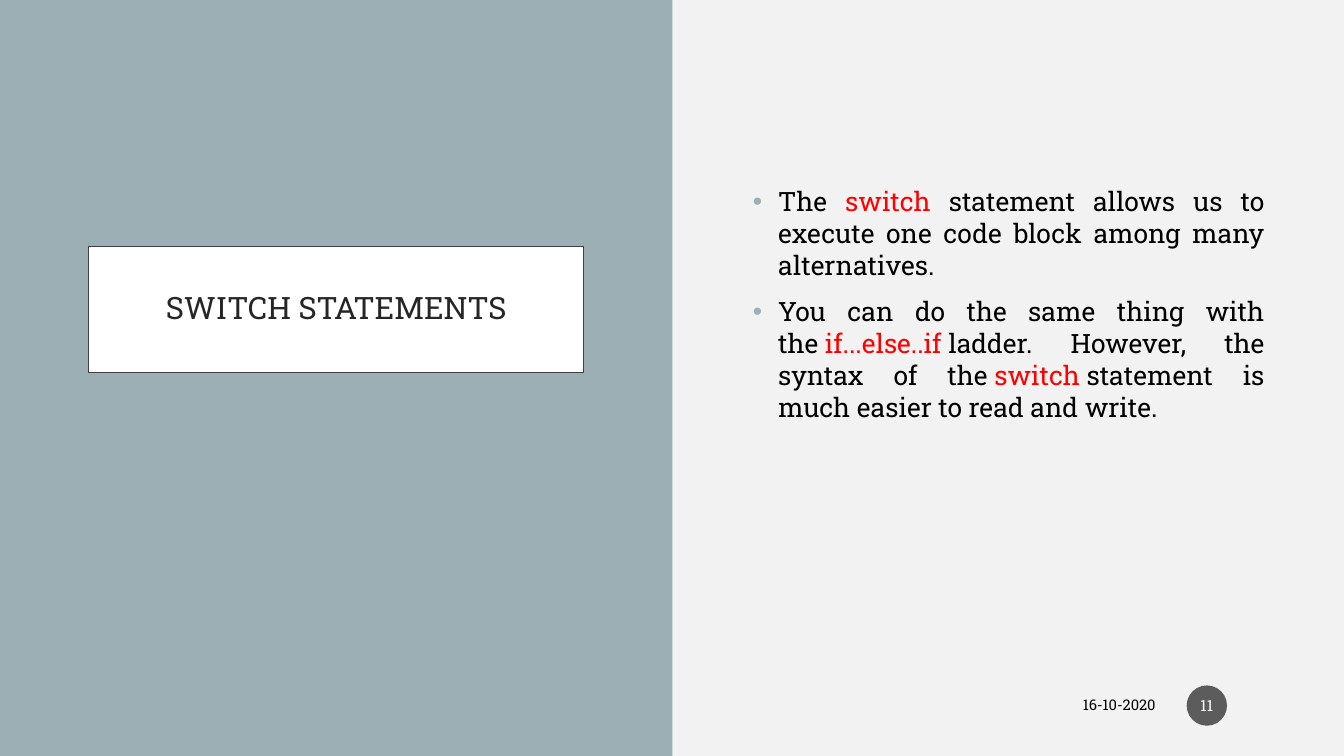
"""Build the slide that introduces switch statements."""
from dataclasses import dataclass

from lxml import etree
from pptx import Presentation
from pptx.dml.color import RGBColor
from pptx.enum.shapes import MSO_SHAPE
from pptx.enum.text import MSO_ANCHOR, PP_ALIGN
from pptx.oxml.ns import qn
from pptx.util import Inches, Pt

RECTANGLE, OVAL = MSO_SHAPE.RECTANGLE, MSO_SHAPE.OVAL
CENTER, RIGHT, JUSTIFY = PP_ALIGN.CENTER, PP_ALIGN.RIGHT, PP_ALIGN.JUSTIFY
TOP, MIDDLE = MSO_ANCHOR.TOP, MSO_ANCHOR.MIDDLE

FONT = "Roboto Slab"
HARD_SPACE = chr(160)
COLORS = {
    "background": "F2F2F2",
    "accent": "9BAFB5",
    "white": "FFFFFF",
    "border": "404040",
    "title": "262626",
    "text": "000000",
    "keyword": "FF0000",
    "badge": "1D1D1D",
}


@dataclass(frozen=True)
class Box:
    left: float
    top: float
    width: float
    height: float

    def lengths(self):
        return [Inches(n) for n in (self.left, self.top, self.width, self.height)]


@dataclass(frozen=True)
class Span:
    text: str
    color: str = "text"


@dataclass(frozen=True)
class Label:
    text: str
    size: float
    color: str
    align: PP_ALIGN
    margins: tuple[float, float]
    line_spacing: float = 1.0


BULLETS = [
    [
        Span("The "),
        Span("switch", "keyword"),
        Span(" statement allows us to execute one code block among many alternatives."),
    ],
    [
        Span("You can do the same thing with the"),
        Span(f"{HARD_SPACE}if...else..if", "keyword"),
        Span(f"{HARD_SPACE}ladder. However, the syntax of the{HARD_SPACE}"),
        Span("switch", "keyword"),
        Span(f"{HARD_SPACE}statement is much easier to read and write."),
    ],
]


def rgb(name: str) -> RGBColor:
    return RGBColor.from_string(COLORS[name])


def add_filled(page, kind: MSO_SHAPE, box: Box, fill: str):
    shape = page.shapes.add_shape(kind, *box.lengths())
    shape.shadow.inherit = False
    shape.fill.solid()
    shape.fill.fore_color.rgb = rgb(fill)
    shape.line.fill.background()
    return shape


def add_text_box(page, box: Box):
    return page.shapes.add_textbox(*box.lengths())


def set_frame(shape, anchor: MSO_ANCHOR, side: float, top: float, bottom: float):
    frame = shape.text_frame
    frame.word_wrap = True
    frame.vertical_anchor = anchor
    frame.margin_left = frame.margin_right = Inches(side)
    frame.margin_top, frame.margin_bottom = Inches(top), Inches(bottom)
    return frame


def set_font(font, size: float, color: str) -> None:
    font.name = FONT
    font.size = Pt(size)
    font.color.rgb = rgb(color)


def write_label(shape, label: Label) -> None:
    side, edge = label.margins
    para = set_frame(shape, MIDDLE, side, edge, edge).paragraphs[0]
    para.text = label.text
    para.alignment = label.align
    para.line_spacing = label.line_spacing
    set_font(para.font, label.size, label.color)


def set_bullet(para, indent: float) -> None:
    properties = para._p.get_or_add_pPr()
    properties.set("marL", str(Inches(indent)))
    properties.set("indent", str(-Inches(indent)))
    bullet_color = etree.SubElement(properties, qn("a:buClr"))
    etree.SubElement(bullet_color, qn("a:srgbClr"), val=COLORS["accent"])
    etree.SubElement(properties, qn("a:buFont"), typeface="Arial")
    etree.SubElement(properties, qn("a:buChar"), char="•")


def write_bullets(shape, bullets: list[list[Span]]) -> None:
    frame = set_frame(shape, TOP, side=0.1, top=0.96, bottom=0.05)
    for index, spans in enumerate(bullets):
        para = frame.add_paragraph() if index else frame.paragraphs[0]
        set_bullet(para, 0.25)
        para.alignment = JUSTIFY
        para.line_spacing = 1.0
        para.space_before = Pt(10 if index else 0)
        para.font.name = FONT
        para.font.size = Pt(19)
        for span in spans:
            run = para.add_run()
            run.text = span.text
            run.font.color.rgb = rgb(span.color)


def set_opacity(shape, percent: int) -> None:
    color = shape._element.spPr.find(qn("a:solidFill")).find(qn("a:srgbClr"))
    etree.SubElement(color, qn("a:alpha"), val=str(percent * 1000))


def main() -> None:
    deck = Presentation()
    deck.slide_width, deck.slide_height = Inches(13.33), Inches(7.5)
    page = deck.slides.add_slide(deck.slide_layouts[6])
    page.background.fill.solid()
    page.background.fill.fore_color.rgb = rgb("background")

    add_filled(page, RECTANGLE, Box(0, 0, 6.67, 7.5), "accent")

    title = add_filled(page, RECTANGLE, Box(0.88, 2.45, 4.91, 1.25), "white")
    title.line.color.rgb = rgb("border")
    title.line.width = Pt(0.75)
    write_label(title, Label("SWITCH STATEMENTS", 22, "title", CENTER, (0.2, 0.2), 0.9))

    write_bullets(add_text_box(page, Box(7.37, 0.88, 5.27, 5.74)), BULLETS)

    date = add_text_box(page, Box(8.55, 6.82, 3.01, 0.35))
    write_label(date, Label("16-10-2020", 10.5, "text", RIGHT, (0.1, 0.05)))

    badge = add_filled(page, OVAL, Box(11.77, 6.8, 0.4, 0.4), "badge")
    set_opacity(badge, 70)
    write_label(badge, Label("11", 11, "white", CENTER, (0.02, 0.05)))

    deck.save("out.pptx")


if __name__ == "__main__":
    main()
